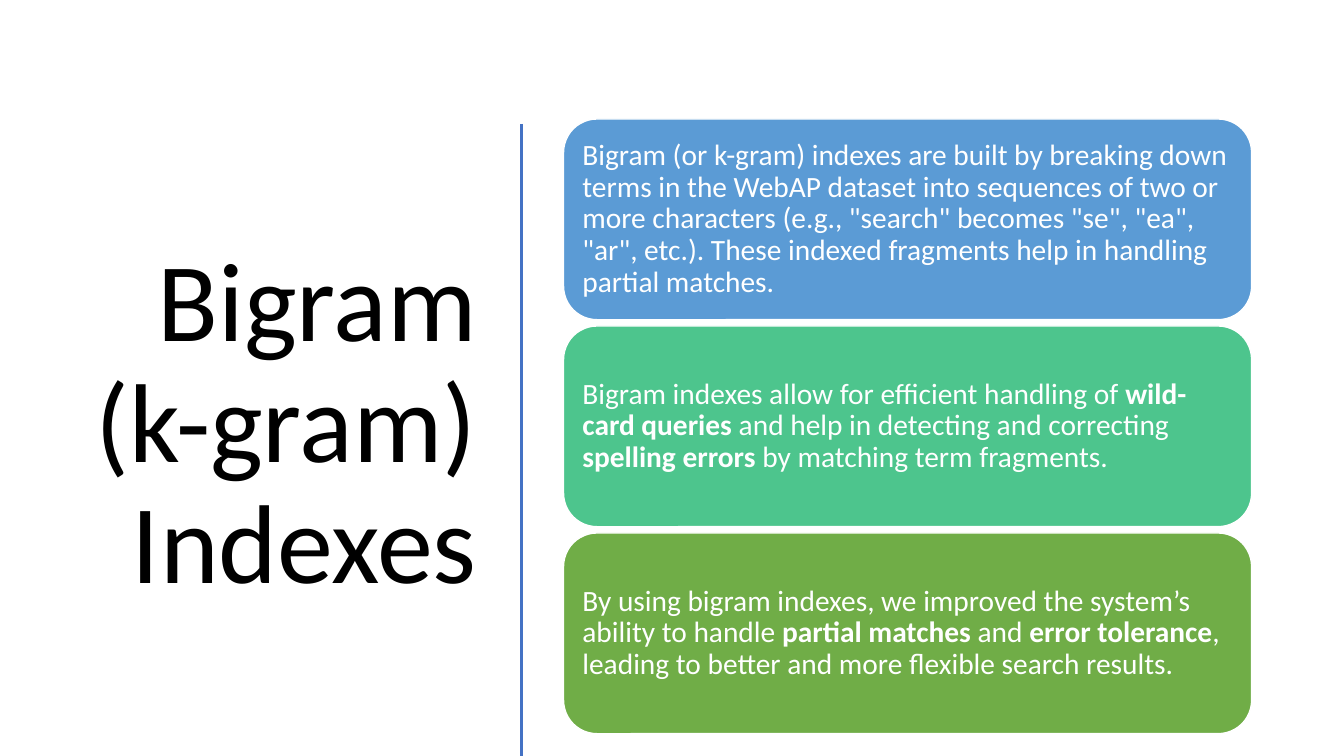
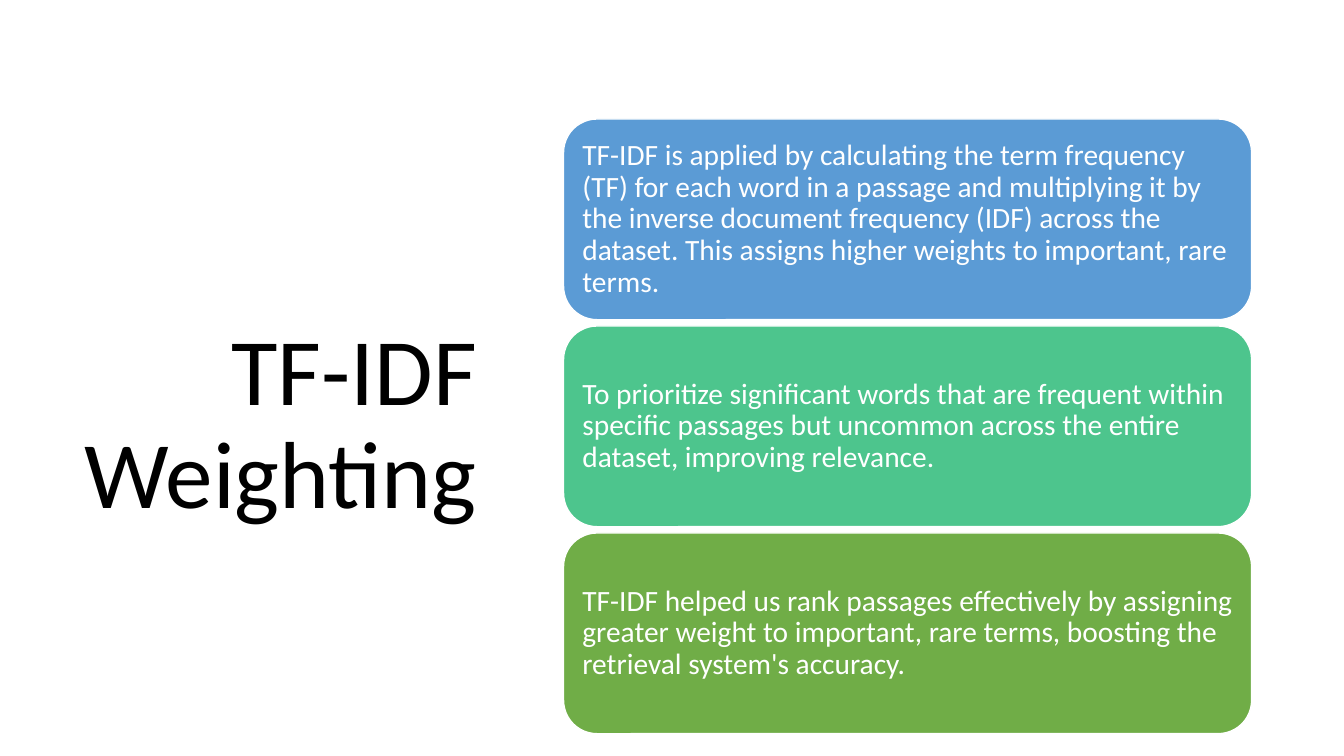
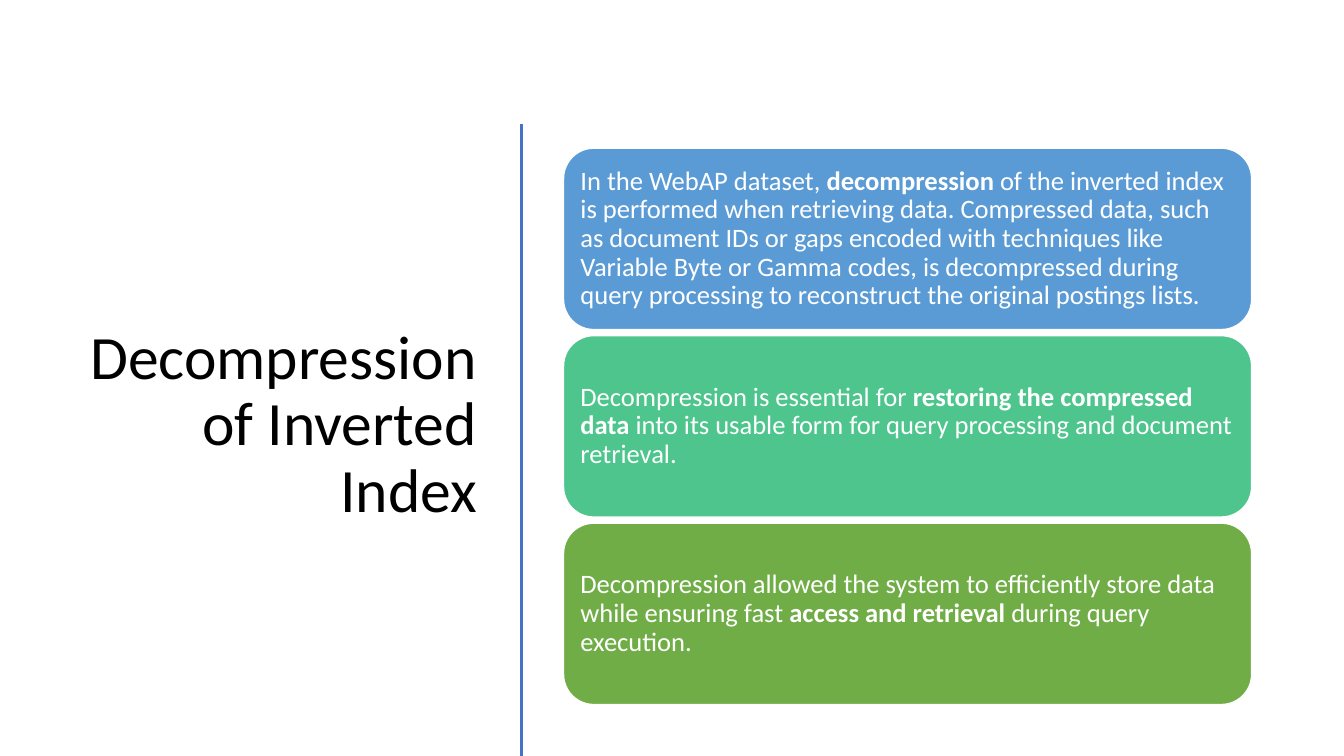
"""Build three slides that pair a large title with three stacked cards."""
from lxml import etree
from pptx import Presentation
from pptx.dml.color import RGBColor
from pptx.enum.shapes import MSO_CONNECTOR, MSO_SHAPE
from pptx.enum.text import MSO_ANCHOR, MSO_AUTO_SIZE, PP_ALIGN
from pptx.oxml.ns import qn
from pptx.util import Inches, Pt

ROUND = MSO_SHAPE.ROUNDED_RECTANGLE
STRAIGHT = MSO_CONNECTOR.STRAIGHT
MIDDLE = MSO_ANCHOR.MIDDLE
FIXED = MSO_AUTO_SIZE.NONE
LEFT, RIGHT = PP_ALIGN.LEFT, PP_ALIGN.RIGHT

BLACK = RGBColor(0x00, 0x00, 0x00)
WHITE = RGBColor(0xFF, 0xFF, 0xFF)
RULE = RGBColor(0x44, 0x72, 0xC4)
BLUE = RGBColor(0x5B, 0x9B, 0xD5)
MINT = RGBColor(0x4D, 0xC5, 0x8D)
GREEN = RGBColor(0x70, 0xAD, 0x47)
FILLS = (BLUE, MINT, GREEN)
FONT = "Calibri"


def write(frame, text, size, color, align=LEFT, inset=(0.1, 0.05)):
    """Fill a frame with one paragraph, with bold between double stars."""
    frame.word_wrap = True
    frame.auto_size = FIXED
    frame.vertical_anchor = MIDDLE
    frame.margin_left = frame.margin_right = Inches(inset[0])
    frame.margin_top = frame.margin_bottom = Inches(inset[1])
    para = frame.paragraphs[0]
    para.alignment = align
    para.line_spacing = 0.9
    for i, part in enumerate(text.split("**")):
        run = para.add_run()
        run.text = part
        font = run.font
        font.name, font.size, font.bold = FONT, Pt(size), i % 2 == 1
        font.color.rgb = color


class Deck:
    """Hold the style and the current slide, with lengths in percent of its size."""

    def __init__(self):
        """Start a wide deck."""
        self.prs = Presentation()
        self.prs.slide_width = Inches(13.333)
        self.prs.slide_height = Inches(7.5)
        self.slide = None

    def x(self, share):
        """Turn a share of the width into a length."""
        return round(self.prs.slide_width * share / 100)

    def y(self, share):
        """Turn a share of the height into a length."""
        return round(self.prs.slide_height * share / 100)

    def box(self, left, top, width, height):
        """Turn four shares into a place and a size."""
        return self.x(left), self.y(top), self.x(width), self.y(height)

    def title(self, text, size):
        """Add a slide with its title on the left."""
        self.slide = self.prs.slides.add_slide(self.prs.slide_layouts[5])
        head = self.slide.shapes.title
        head.left, head.top, head.width, head.height = self.box(3.9, 15.6, 32.35, 81.5)
        write(head.text_frame, text, size, BLACK, align=RIGHT)

    def rule(self):
        """Draw the upright line between title and cards."""
        x = self.x(38.8)
        line = self.slide.shapes.add_connector(STRAIGHT, x, self.y(16.4), x, self.y(100))
        line.line.color.rgb = RULE
        line.line.width = Pt(2)
        etree.SubElement(line._element.spPr, qn("a:effectLst"))

    def card(self, text, fill, top, height, size, inset):
        """Draw one rounded card with its text."""
        card = self.slide.shapes.add_shape(ROUND, *self.box(41.93, top, 51.2, height))
        card.shadow.inherit = False
        card.fill.solid()
        card.fill.fore_color.rgb = fill
        card.line.color.rgb = WHITE
        card.line.width = Pt(1)
        write(card.text_frame, text, size, WHITE, inset=(inset, inset))

    def stack(self, texts, height=26.55, gap=0.83, size=21, inset=0.09):
        """Stack the cards around a shared middle."""
        step = height + gap
        top = 56.4 - (len(texts) * step - gap) / 2
        for i, (text, fill) in enumerate(zip(texts, FILLS)):
            self.card(text, fill, top + i * step, height, size, inset)


def main():
    """Build and save the deck."""
    deck = Deck()

    deck.title("Bigram (k-gram) Indexes", 80)
    deck.rule()
    deck.stack((
        'Bigram (or k-gram) indexes are built by breaking down terms in the WebAP '
        'dataset into sequences of two or more characters (e.g., "search" becomes '
        '"se", "ea", "ar", etc.). These indexed fragments help in handling partial '
        'matches.',
        "Bigram indexes allow for efficient handling of **wild-card queries** and help "
        "in detecting and correcting **spelling errors** by matching term fragments.",
        "By using bigram indexes, we improved the system’s ability to handle **partial "
        "matches** and **error tolerance**, leading to better and more flexible search "
        "results.",
    ))

    deck.title("TF-IDF Weighting", 68)
    deck.stack((
        "TF-IDF is applied by calculating the term frequency (TF) for each word in a "
        "passage and multiplying it by the inverse document frequency (IDF) across the "
        "dataset. This assigns higher weights to important, rare terms.",
        "To prioritize significant words that are frequent within specific passages but "
        "uncommon across the entire dataset, improving relevance.",
        "TF-IDF helped us rank passages effectively by assigning greater weight to "
        "important, rare terms, boosting the retrieval system's accuracy.",
    ))

    deck.title("Decompression of Inverted Index", 44)
    deck.rule()
    deck.stack((
        "In the WebAP dataset, **decompression** of the inverted index is performed when "
        "retrieving data. Compressed data, such as document IDs or gaps encoded with "
        "techniques like Variable Byte or Gamma codes, is decompressed during query "
        "processing to reconstruct the original postings lists.",
        "Decompression is essential for **restoring the compressed data** into its "
        "usable form for query processing and document retrieval.",
        "Decompression allowed the system to efficiently store data while ensuring fast "
        "**access and retrieval** during query execution.",
    ), height=24, gap=0.8, size=19, inset=0.08)

    deck.prs.save("out.pptx")


if __name__ == "__main__":
    main()
